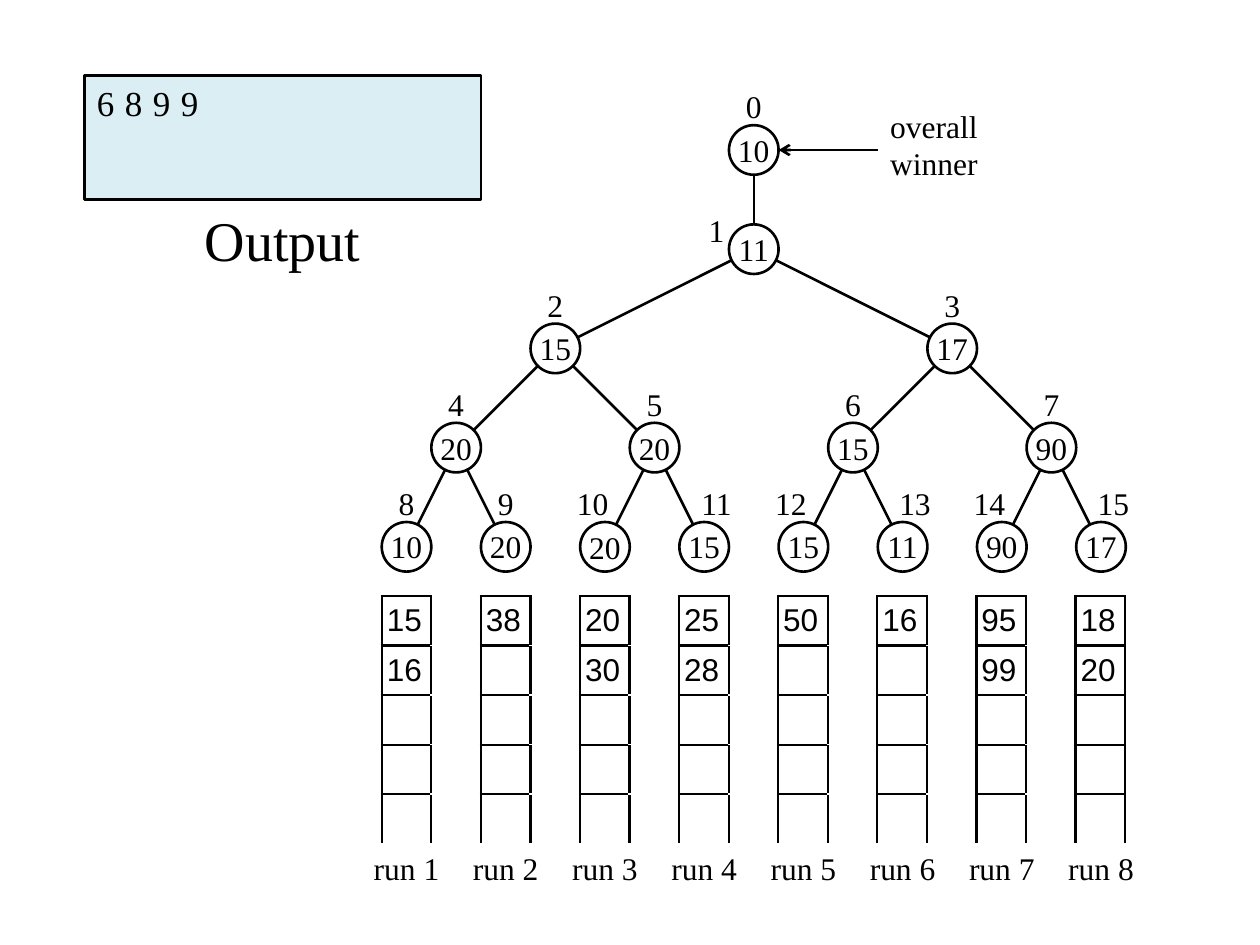
from dataclasses import dataclass
from lxml.etree import SubElement
from pptx import Presentation
from pptx.dml.color import RGBColor
from pptx.enum.shapes import MSO_CONNECTOR, MSO_SHAPE
from pptx.enum.text import MSO_ANCHOR, PP_ALIGN
from pptx.oxml.ns import qn
from pptx.util import Inches, Pt


@dataclass(frozen=True)
class Theme:
    ink: RGBColor = RGBColor(0, 0, 0)
    paper: RGBColor = RGBColor(0xFF, 0xFF, 0xFF)
    output_fill: RGBColor = RGBColor(0xDB, 0xEE, 0xF4)
    serif: str = "Times New Roman"
    sans: str = "Arial"
    body: int = 18
    output: int = 20
    title: int = 32
    line: float = 1.5


T = Theme()
U = 1 / 2.54  # grid cell: one centimetre in inches
WINNER = 10
NODES = [11, 15, 17, 20, 20, 15, 90, 10, 20, 20, 15, 15, 11, 90, 17]
RUNS = [[15, 16], [38], [20, 30], [25, 28], [50], [16], [95, 99], [18, 20]]
RUN_ROWS = 5


def write(tf, text, size=T.body, font=T.serif, align=PP_ALIGN.CENTER,
          anchor=MSO_ANCHOR.TOP, inset=(0, 0), wrap=False, before=0):
    tf.text = text
    tf.word_wrap = wrap
    tf.vertical_anchor = anchor
    tf.margin_left = tf.margin_right = Inches(inset[0])
    tf.margin_top = tf.margin_bottom = Inches(inset[1])
    for p in tf.paragraphs:
        p.alignment = align
        p.space_before = Pt(before)
        for r in p.runs:
            style(r.font, size, font)


def style(f, size, name):
    f.size, f.name = Pt(size), name
    f.color.rgb = T.ink


def add_text(s, x, y, w, h, text, **fmt):
    tb = s.shapes.add_textbox(Inches(x), Inches(y), Inches(w), Inches(h))
    write(tb.text_frame, text, **fmt)


def add_box(s, kind, x, y, w, h, fill):
    sp = s.shapes.add_shape(kind, Inches(x), Inches(y), Inches(w), Inches(h))
    sp.shadow.inherit = False
    sp.fill.solid()
    sp.fill.fore_color.rgb = fill
    sp.line.color.rgb = T.ink
    sp.line.width = Pt(T.line)
    return sp


def add_line(s, start, end, arrow=False):
    c = s.shapes.add_connector(MSO_CONNECTOR.STRAIGHT,
                               *(Inches(v) for v in (*start, *end)))
    c.line.color.rgb = T.ink
    c.line.width = Pt(T.line)
    if arrow:
        SubElement(c.line._get_or_add_ln(), qn("a:tailEnd"), type="arrow")
    SubElement(c._element.spPr, qn("a:effectLst"))


def add_border(cell, sides):
    tcPr = cell._tc.get_or_add_tcPr()
    for side in sides:
        ln = SubElement(tcPr, qn(f"a:ln{side}"), w=str(Pt(T.line)))
        fill = SubElement(ln, qn("a:solidFill"))
        SubElement(fill, qn("a:srgbClr"), val=str(T.ink))


def output_panel(s, x, y, w, h):
    # Caption below the box
    add_text(s, x + 2 * U, y + h, 4 * U, 2 * U, "Output", size=T.title,
             inset=(0.1, 0.05), wrap=True, before=0.2 * T.title)
    # Values already written
    sp = add_box(s, MSO_SHAPE.RECTANGLE, x, y, w, h, T.output_fill)
    write(sp.text_frame, "6899", size=T.output, align=PP_ALIGN.LEFT,
          inset=(0.1, 0.05), wrap=True, before=0.2 * T.output)
    r = sp.text_frame.paragraphs[0].runs[0]
    r._r.get_or_add_rPr().set("spc", "600")


def run_table(s, x, y):
    # Runs stand in every other column
    cols = 2 * len(RUNS) - 1
    gf = s.shapes.add_table(RUN_ROWS, cols, Inches(x), Inches(y),
                            Inches(cols * U), Inches(RUN_ROWS * U))
    table = gf.table
    table.first_row = table.horz_banding = False
    for part in (*table.columns, ):
        part.width = Inches(U)
    for i, row in enumerate(table.rows):
        row.height = Inches(U)
        for j, cell in enumerate(row.cells):
            run, gap = divmod(j, 2)
            cell.margin_left = cell.margin_right = Inches(0.04)
            cell.margin_top = cell.margin_bottom = Inches(0.04)
            cell.vertical_anchor = MSO_ANCHOR.MIDDLE
            p = cell.text_frame.paragraphs[0]
            style(p.font, T.body, T.sans)
            if not gap:
                add_border(cell, "LRT" if i == RUN_ROWS - 1 else "LRTB")
                if i < len(RUNS[run]):
                    p.text = str(RUNS[run][i])
                    style(p.runs[0].font, T.body, T.sans)
            cell.fill.background()
    # Run names
    for i in range(len(RUNS)):
        add_text(s, x + (2 * i - 0.5) * U, y + RUN_ROWS * U, 2 * U, U,
                 f"run {i + 1}", inset=(0.08, 0.04))


def tree(s, x, y):
    def centre(n):
        if n == 0:
            return x + 7.5 * U, y + 1.5 * U
        level = n.bit_length() - 1
        step = 16 / 2 ** level
        k = n - 2 ** level
        return x + ((k + 0.5) * step - 0.5) * U, y + (3.5 + 2 * level) * U

    # Branches
    for n in range(2, len(NODES) + 1):
        add_line(s, centre(n // 2), centre(n))
    (rx, ry), (_, ny) = centre(0), centre(1)
    add_line(s, (rx, ry + U / 2), (rx, ny - U / 2))
    # Nodes and their numbers
    for n, value in enumerate([WINNER] + NODES):
        cx, cy = centre(n)
        sp = add_box(s, MSO_SHAPE.OVAL, cx - U / 2, cy - U / 2, U, U, T.paper)
        low = n >= 8 and n != 10
        write(sp.text_frame, str(value), wrap=True,
              anchor=MSO_ANCHOR.BOTTOM if low else MSO_ANCHOR.MIDDLE)
        dx, dy, w = 0, -1.5, 1
        if n == 1:
            dx, dy, w = -0.75, -1, 1.5
        elif n >= 10:
            dx, w = (0.25 if n % 2 else -0.25), 1.5
        add_text(s, cx + (dx - w / 2) * U, cy + dy * U, w * U, U, str(n),
                 anchor=MSO_ANCHOR.BOTTOM)
    # Winner pointer
    add_line(s, (rx + 2.5 * U, ry), (rx + U / 2, ry), arrow=True)
    add_text(s, rx + 2.5 * U, ry - U, 2.5 * U, 2 * U, "overall\nwinner",
             align=PP_ALIGN.LEFT, inset=(0.1, 0.05))


prs = Presentation()
prs.slide_width, prs.slide_height = Inches(10), Inches(7.5)
s = prs.slides.add_slide(prs.slide_layouts[6])
output_panel(s, 0.67, 0.6, 8 * U, 2.5 * U)
run_table(s, 3.03, 4.73)
tree(s, 3.03, 0.6)
prs.save("out.pptx")
